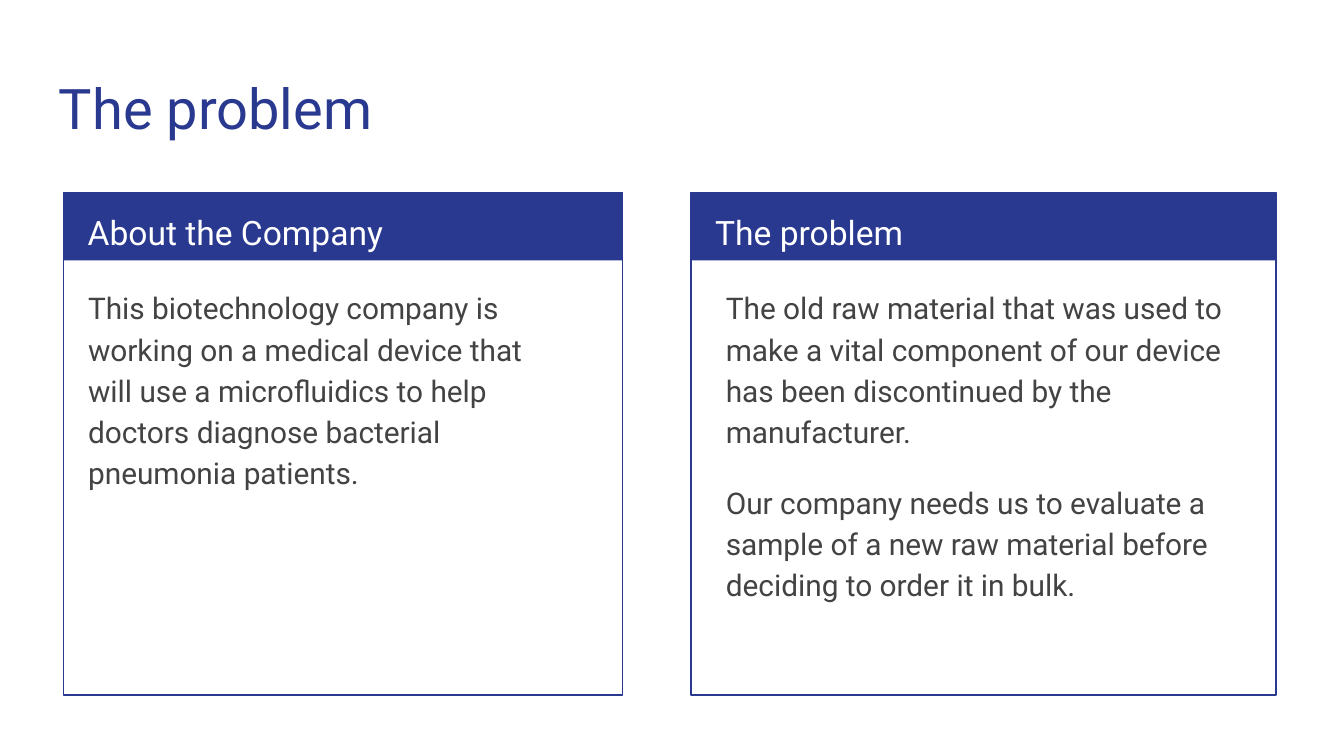
from pptx import Presentation
from pptx.dml.color import RGBColor
from pptx.enum import shapes, text
from pptx.util import Pt

COLORS = {"navy": "2A3990", "white": "FFFFFF", "body": "434343"}
PANEL_TOP = 103
HEADER_HEIGHT = 36.5
PANEL_HEIGHT = 269.3
BODY_TOP = 145.4
BODY_HEIGHT = 220.3


class SlideBuilder:
    font_name = "Roboto"
    inset = Pt(7.2)

    def __init__(self, slide):
        self.slide = slide

    def color(self, name):
        return RGBColor.from_string(COLORS[name])

    def text(self, box, paragraphs, size, color, line_spacing=1.0, gap=0):
        shape = self.slide.shapes.add_textbox(*map(Pt, box))
        frame = shape.text_frame
        frame.word_wrap = True
        frame.auto_size = text.MSO_AUTO_SIZE.NONE
        frame.vertical_anchor = text.MSO_ANCHOR.TOP
        frame.margin_left = frame.margin_right = self.inset
        frame.margin_top = frame.margin_bottom = self.inset
        for index, content in enumerate(paragraphs):
            paragraph = frame.add_paragraph() if index else frame.paragraphs[0]
            paragraph.text = content
            paragraph.line_spacing = line_spacing
            if index:
                paragraph.space_before = Pt(gap)
            paragraph.font.name = self.font_name
            paragraph.font.size = Pt(size)
            paragraph.font.color.rgb = self.color(color)

    def rectangle(self, group, box, fill=None, line=None):
        shape = group.shapes.add_shape(shapes.MSO_SHAPE.RECTANGLE, *map(Pt, box))
        shape.shadow.inherit = False
        if fill:
            shape.fill.solid()
            shape.fill.fore_color.rgb = self.color(fill)
        else:
            shape.fill.background()
        if line:
            shape.line.color.rgb = self.color(line)
            shape.line.width = Pt(0.75)
        else:
            shape.line.fill.background()

    def panel(self, left, width, heading, paragraphs, body_left, body_width):
        group = self.slide.shapes.add_group_shape()
        self.rectangle(group, (left, PANEL_TOP, width, HEADER_HEIGHT), fill="navy")
        self.rectangle(group, (left, PANEL_TOP, width, PANEL_HEIGHT), line="navy")
        self.text((left + 5.9, PANEL_TOP, 196.6, 36), [heading], 18, "white", 1.15)
        self.text((body_left, BODY_TOP, body_width, BODY_HEIGHT), paragraphs,
                  16, "body", 1.15, gap=16)


def main():
    presentation = Presentation()
    presentation.slide_width = Pt(720)
    presentation.slide_height = Pt(405)
    slide = presentation.slides.add_slide(presentation.slide_layouts[6])
    builder = SlideBuilder(slide)

    builder.text((24.5, 32.4, 671, 47.5), ["The problem"], 30, "navy")
    builder.panel(
        34, 299.5, "About the Company",
        ["This biotechnology company is working on a medical device that will use "
         "a microfluidics to help doctors diagnose bacterial pneumonia patients."],
        40.1, 258.5)
    builder.panel(
        370.2, 313.3, "The problem",
        ["The old raw material that was used to make a vital component of our "
         "device has been discontinued by the manufacturer.",
         "Our company needs us to evaluate a sample of a new raw material before "
         "deciding to order it in bulk."],
        381.8, 293)

    presentation.save("out.pptx")


if __name__ == "__main__":
    main()
